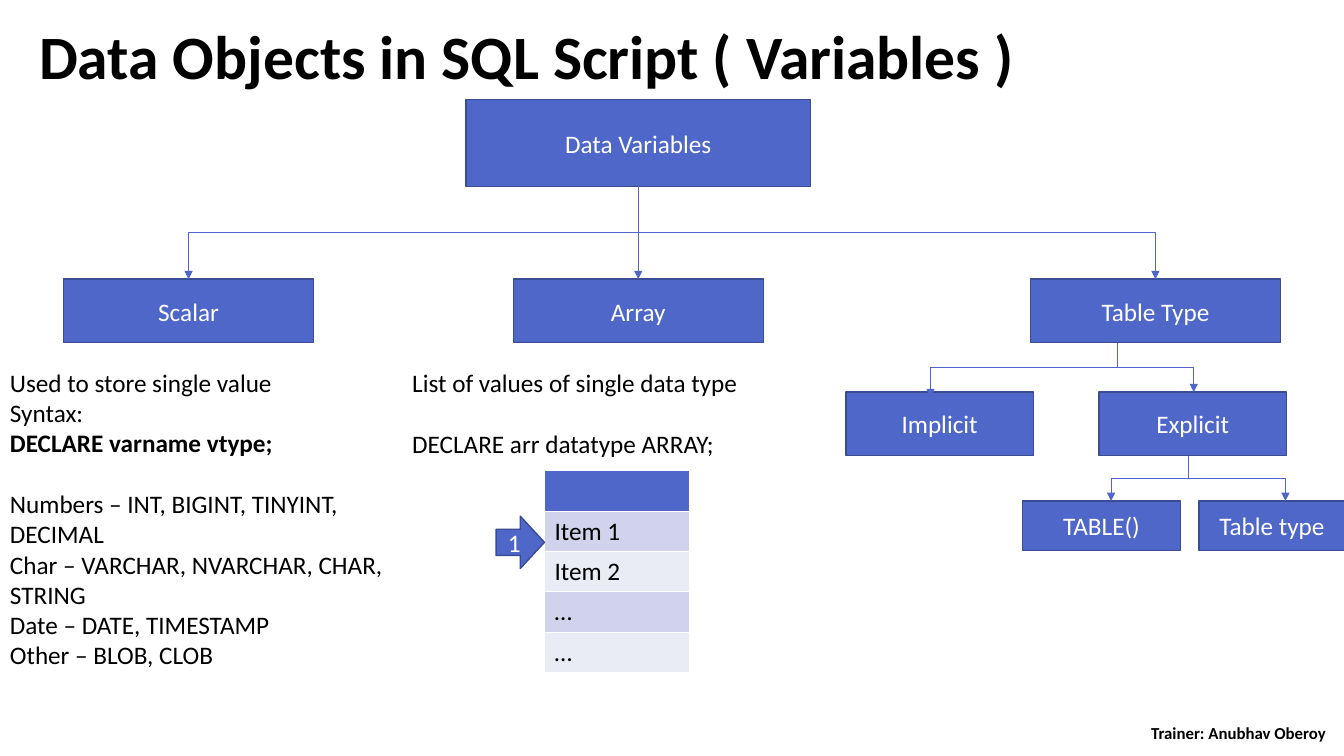
from lxml import etree
from pptx import Presentation
from pptx.dml.color import RGBColor
from pptx.enum.shapes import MSO_CONNECTOR, MSO_SHAPE
from pptx.enum.text import MSO_ANCHOR, PP_ALIGN
from pptx.oxml.ns import qn
from pptx.util import Inches, Pt

RECT, RIGHT_ARROW = MSO_SHAPE.RECTANGLE, MSO_SHAPE.RIGHT_ARROW
STRAIGHT, ELBOW = MSO_CONNECTOR.STRAIGHT, MSO_CONNECTOR.ELBOW
LEFT, CENTER = PP_ALIGN.LEFT, PP_ALIGN.CENTER
TOP, MIDDLE = MSO_ANCHOR.TOP, MSO_ANCHOR.MIDDLE
BOTTOM_SIDE, TOP_SIDE = 2, 0

THEME = {
    "font": "Calibri",
    "title": 44, "body": 18, "footer": 12,
    "accent": "4E67C8", "outline": "3A4C94",
    "band_dark": "D0D3EB", "band_light": "E9EBF5",
    "dark": "000000", "light": "FFFFFF",
    "outline_width": 1, "connector_width": 0.5,
    "blank_line": 22,
}

# Each text line: (text, bold, gap above)
TITLE = [("Data Objects in SQL Script ( Variables )", True, False)]
FOOTER = [("Trainer: Anubhav Oberoy", True, False)]
SCALAR_NOTES = [
    ("Used to store single value", False, False),
    ("Syntax:", False, False),
    ("DECLARE varname vtype;", True, False),
    ("Numbers – INT, BIGINT, TINYINT, DECIMAL", False, True),
    ("Char – VARCHAR, NVARCHAR, CHAR, STRING", False, False),
    ("Date – DATE, TIMESTAMP", False, False),
    ("Other – BLOB, CLOB", False, False),
]
ARRAY_NOTES = [
    ("List of values of single data type", False, False),
    ("DECLARE arr datatype ARRAY;", False, True),
]

# Text blocks: lines, box, format
TEXT_BLOCKS = [
    (TITLE, (0.29, 0.21, 12.35, 0.78), {"size": THEME["title"], "spacing": 0.9}),
    (FOOTER, (11.07, 7.16, 2.43, 0.22),
     {"size": THEME["footer"], "align": CENTER, "anchor": MIDDLE}),
    (SCALAR_NOTES, (0, 3.59, 4.18, 3.13), {}),
    (ARRAY_NOTES, (3.99, 3.59, 3.58, 1.62), {}),
]

# Tree levels: top, height, then (label, left, width)
TREE_LEVELS = [
    (0.99, 0.86, [("Data Variables", 4.62, 3.42)]),
    (2.77, 0.63, [("Scalar", 0.63, 2.48), ("Array", 5.09, 2.48),
                  ("Table Type", 10.22, 2.48)]),
    (3.89, 0.63, [("Implicit", 8.39, 1.86), ("Explicit", 10.9, 1.86)]),
    (4.97, 0.49, [("TABLE()", 10.14, 1.57), ("Table type", 11.89, 1.45)]),
]

# Branches that drop, cross and drop again: start, end
BRANCHES = [
    ((6.33, 1.85), (1.87, 2.77)),
    ((6.33, 1.85), (11.46, 2.77)),
    ((11.08, 3.4), (11.84, 3.89)),
    ((11.79, 4.52), (11.02, 4.97)),
    ((11.79, 4.52), (12.75, 4.97)),
]
IMPLICIT_BRANCH = ((11.13, 3.64), (9.23, 3.94))

ARRAY_ITEMS = ["", "Item 1", "Item 2", "…", "…"]
ARRAY_TABLE_BOX = (5.4, 4.67, 1.44, 2)
INDEX_LABEL, INDEX_BOX = "1", (4.92, 5.12, 0.48, 0.52)


def color(name):
    return RGBColor.from_string(THEME[name])


def inches(values):
    return [Inches(value) for value in values]


def write(frame, lines, size=THEME["body"], ink="dark", align=LEFT,
          anchor=TOP, spacing=None):
    frame.word_wrap = True
    frame.vertical_anchor = anchor
    for index, (text, bold, gap) in enumerate(lines):
        paragraph = frame.paragraphs[0] if index == 0 else frame.add_paragraph()
        paragraph.alignment = align
        paragraph.line_spacing = spacing
        if gap:
            paragraph.space_before = Pt(THEME["blank_line"])
        run = paragraph.add_run()
        run.text = text
        run.font.color.rgb = color(ink)
        font_values = {"name": THEME["font"], "size": Pt(size), "bold": bold}
        for attribute, value in font_values.items():
            setattr(run.font, attribute, value)


def add_node(slide, label, box, kind=RECT):
    node = slide.shapes.add_shape(kind, *inches(box))
    node.shadow.inherit = False
    node.fill.solid()
    node.fill.fore_color.rgb = color("accent")
    node.line.color.rgb = color("outline")
    node.line.width = Pt(THEME["outline_width"])
    write(node.text_frame, [(label, False, False)], ink="light",
          align=CENTER, anchor=MIDDLE)
    return node


def add_arrow(slide, kind, start, end):
    arrow = slide.shapes.add_connector(kind, *inches(start + end))
    arrow.line.color.rgb = color("accent")
    arrow.line.width = Pt(THEME["connector_width"])
    properties = arrow._element.spPr
    line = properties.find(qn("a:ln"))
    etree.SubElement(line, qn("a:tailEnd"), type="triangle")
    etree.SubElement(properties, qn("a:effectLst"))
    return arrow


def add_branch(slide, start, end):
    """Turn an elbow a quarter so that it leaves and arrives vertically."""
    (x1, y1), (x2, y2) = start, end
    length, breadth = y2 - y1, abs(x2 - x1)
    left = (x1 + x2 - length) / 2
    top = (y1 + y2 - breadth) / 2
    branch = add_arrow(slide, ELBOW, (left, top), (left + length, top + breadth))
    frame = branch._element.spPr.find(qn("a:xfrm"))
    if x2 < x1:
        branch_turn = {"rot": "5400000"}
    else:
        branch_turn = {"rot": "16200000", "flipH": "1"}
    for attribute, value in branch_turn.items():
        frame.set(attribute, value)


def add_array_table(slide):
    table = slide.shapes.add_table(len(ARRAY_ITEMS), 1,
                                   *inches(ARRAY_TABLE_BOX)).table
    for row, item in enumerate(ARRAY_ITEMS):
        cell = table.cell(row, 0)
        band = "band_dark" if row % 2 else "band_light"
        cell.fill.solid()
        cell.fill.fore_color.rgb = color(band if row else "accent")
        if item:
            write(cell.text_frame, [(item, False, False)])


def main():
    deck = Presentation()
    deck.slide_width, deck.slide_height = inches((13.33, 7.5))
    slide = deck.slides.add_slide(deck.slide_layouts[6])

    for lines, box, text_format in TEXT_BLOCKS:
        block = slide.shapes.add_textbox(*inches(box))
        write(block.text_frame, lines, **text_format)

    nodes = {}
    for top, height, entries in TREE_LEVELS:
        for label, left, width in entries:
            nodes[label] = add_node(slide, label, (left, top, width, height))

    for start, end in BRANCHES:
        add_branch(slide, start, end)
    implicit = add_arrow(slide, ELBOW, *IMPLICIT_BRANCH)
    implicit._element.spPr.find(qn("a:prstGeom")).set("prst", "bentConnector2")
    trunk = add_arrow(slide, STRAIGHT, (6.33, 1.85), (6.33, 2.77))
    trunk.begin_connect(nodes["Data Variables"], BOTTOM_SIDE)
    trunk.end_connect(nodes["Array"], TOP_SIDE)

    add_array_table(slide)
    add_node(slide, INDEX_LABEL, INDEX_BOX, RIGHT_ARROW)
    deck.save("out.pptx")


if __name__ == "__main__":
    main()
